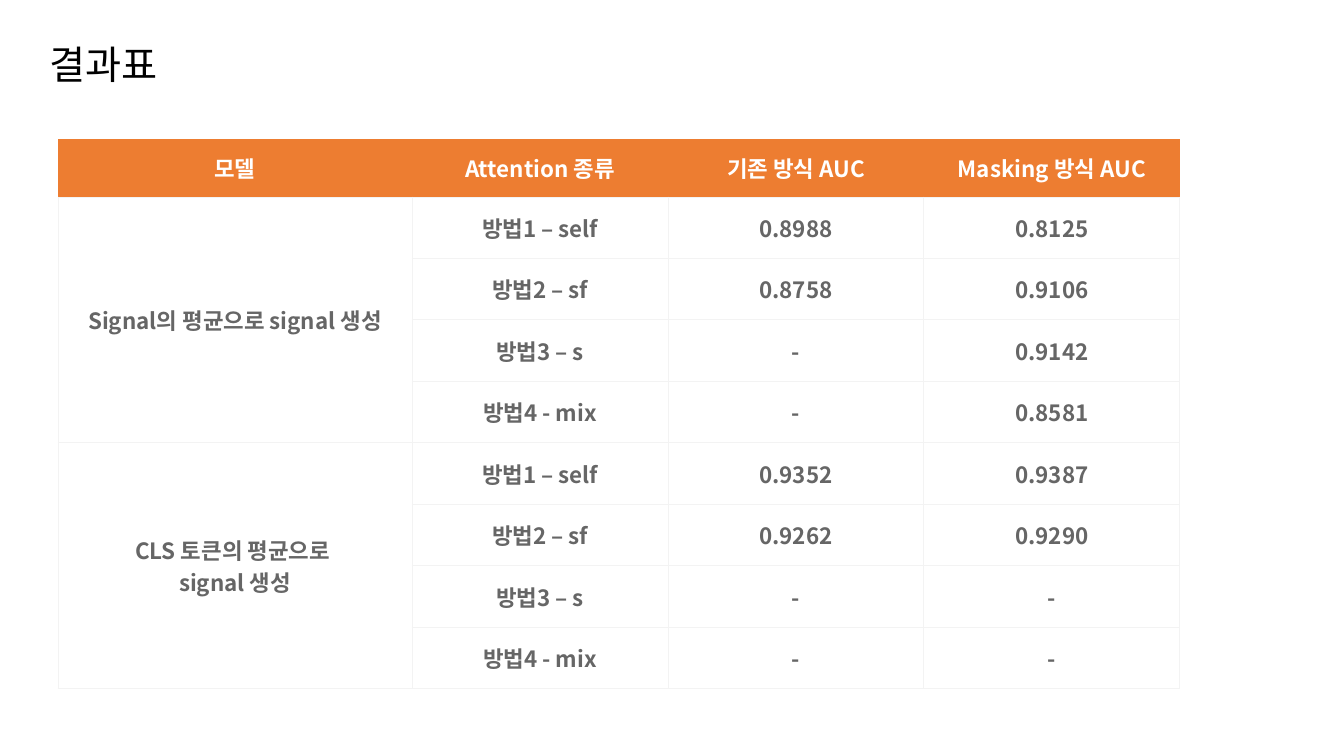
from dataclasses import dataclass

from pptx import Presentation
from pptx.dml.color import RGBColor
from pptx.enum.text import MSO_ANCHOR as Anchor, MSO_AUTO_SIZE as AutoSize, PP_ALIGN as Align
from pptx.oxml.ns import qn
from pptx.oxml.xmlchemy import OxmlElement
from pptx.util import Emu, Pt

PX_PER_INCH = 100.8


def px(length):
    return Emu(round(length * 914400 / PX_PER_INCH))


@dataclass(frozen=True)
class Theme:
    font: str = "Noto Sans CJK KR"
    ink: str = "000000"
    accent: str = "ED7D31"
    paper: str = "FFFFFF"
    body: str = "666666"
    grid: str = "F3F3F3"
    title_size: int = 28
    cell_size: int = 16
    grid_width: float = 0.75


HEADER = ["모델", "Attention 종류", "기존 방식 AUC", "Masking 방식 AUC"]
METHODS = ["방법1 – self", "방법2 – sf", "방법3 – s", "방법4 - mix"]
# For each model: (existing AUC, masking AUC) in the order of METHODS.
RESULTS = {
    "Signal의 평균으로 signal 생성": [
        ("0.8988", "0.8125"), ("0.8758", "0.9106"), ("-", "0.9142"), ("-", "0.8581")],
    "CLS 토큰의 평균으로 \nsignal 생성": [
        ("0.9352", "0.9387"), ("0.9262", "0.9290"), ("-", "-"), ("-", "-")],
}


class SlideBuilder:
    def __init__(self, page, theme):
        self.page = page
        self.theme = theme

    def style_text(self, frame, size, color, align, bold=False):
        for para in frame.paragraphs:
            para.alignment = align
            font = para.font
            font.size, font.bold = Pt(size), bold
            font.color.rgb = RGBColor.from_string(color)
            font.name = self.theme.font
            east_asian = OxmlElement("a:ea")
            east_asian.set("typeface", self.theme.font)
            para._p.pPr.find(qn("a:defRPr")).append(east_asian)

    def title(self, text, left, top, width, height):
        box = self.page.shapes.title
        box.left, box.top, box.width, box.height = map(px, (left, top, width, height))
        frame = box.text_frame
        frame.text = text
        frame.auto_size = AutoSize.NONE
        frame.vertical_anchor = Anchor.MIDDLE
        frame.paragraphs[0].line_spacing = 0.9
        self.style_text(frame, self.theme.title_size, self.theme.ink, Align.LEFT)

    def border(self, cell, sides):
        """Draw the named sides (of L, R, T, B) and clear the others."""
        properties = cell._tc.get_or_add_tcPr()
        for side in "LRTB":
            line = OxmlElement(f"a:ln{side}")
            line.set("w", str(Pt(self.theme.grid_width)))
            if side in sides:
                fill = OxmlElement("a:solidFill")
                color = OxmlElement("a:srgbClr")
                color.set("val", self.theme.grid)
                fill.append(color)
            else:
                fill = OxmlElement("a:noFill")
            line.append(fill)
            properties.append(line)

    def cell(self, cell, text, is_header):
        theme = self.theme
        cell.text = text
        cell.vertical_anchor = Anchor.MIDDLE
        cell.margin_left = cell.margin_right = px(10)
        cell.margin_top = cell.margin_bottom = px(10)
        self.border(cell, "B" if is_header else "LRTB")
        cell.fill.solid()
        cell.fill.fore_color.rgb = RGBColor.from_string(
            theme.accent if is_header else theme.paper)
        self.style_text(cell.text_frame, theme.cell_size,
                        theme.paper if is_header else theme.body, Align.CENTER, bold=True)

    def table(self, rows, left, top, widths, header_height, body_height, group):
        """Fill a table whose first column is merged in runs of `group` body rows."""
        frame = self.page.shapes.add_table(
            len(rows), len(widths), px(left), px(top),
            px(sum(widths)), px(header_height + body_height))
        table = frame.table
        table.first_row = table.horz_banding = False
        for column, width in zip(table.columns, widths):
            column.width = px(width)
        for index, values in enumerate(rows):
            share = body_height / (len(rows) - 1)
            table.rows[index].height = px(share if index else header_height)
            for column, text in enumerate(values):
                self.cell(table.cell(index, column), text, index == 0)
        for first in range(1, len(rows), group):
            table.cell(first, 0).merge(table.cell(first + group - 1, 0))


def result_rows():
    rows = [HEADER]
    for model, scores in RESULTS.items():
        for index, (method, score) in enumerate(zip(METHODS, scores)):
            rows.append(["" if index else model, method, *score])
    return rows


def main():
    deck = Presentation()
    deck.slide_width, deck.slide_height = px(1344), px(756)
    page = deck.slides.add_slide(deck.slide_layouts.get_by_name("Title Only"))
    builder = SlideBuilder(page, Theme())
    builder.title("결과표", 39, 18, 1159, 97)
    builder.table(result_rows(), 58, 139, [354, 256, 256, 256],
                  header_height=58, body_height=492, group=len(METHODS))
    deck.save("out.pptx")


if __name__ == "__main__":
    main()
